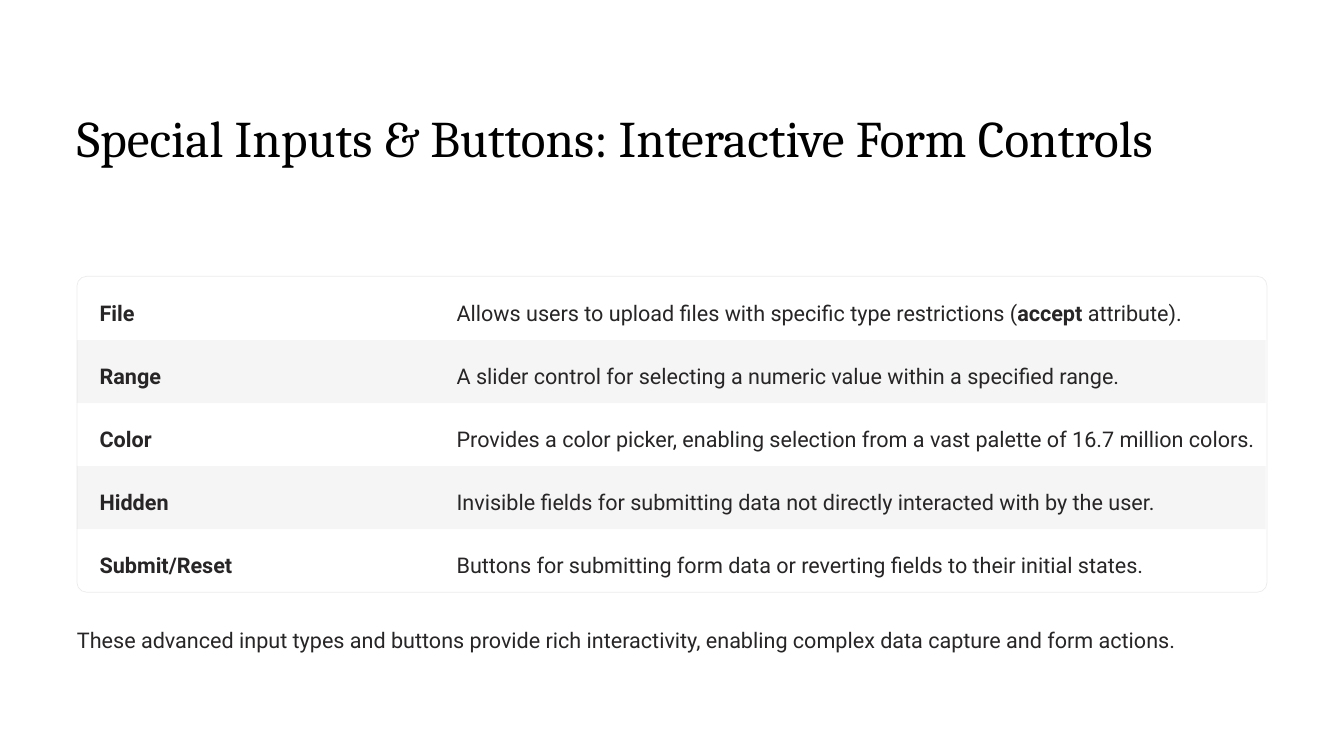
from lxml import etree
from pptx import Presentation, util as u
from pptx.dml.color import RGBColor
from pptx.enum import shapes, text
from pptx.oxml.ns import qn

HUES = {"title": "000000", "text": "272525", "edge": "000000",
        "odd": "FFFFFF", "even": "000000"}
TITLE = {"name": "Cambria", "size": u.Pt(44), "bold": False}
PLAIN = {"name": "Roboto", "size": u.Pt(18.5), "bold": False}
BOLD = {**PLAIN, "bold": True}
FRAME = {"margin_left": 0, "margin_top": 0, "margin_right": 0, "margin_bottom": 0,
         "vertical_anchor": text.MSO_ANCHOR.TOP}
CELL = {**FRAME, "margin_left": u.Inches(0.27), "margin_top": u.Inches(0.17)}
NO_GRID = "{2D5ABB26-0587-4C30-8999-92F81FD0307C}"

# Grid in inches
SLIDE = (16, 9)
LEFT = 11 / 12
WIDE = SLIDE[0] - 2 * LEFT
TOP, ROW = 3.3, 0.75
COLS = (4.25, 9.9)

ROWS = [
    ("File", "Allows users to upload files with specific type restrictions (*accept* attribute)."),
    ("Range", "A slider control for selecting a numeric value within a specified range."),
    ("Color", "Provides a color picker, enabling selection from a vast palette of 16.7 million colors."),
    ("Hidden", "Invisible fields for submitting data not directly interacted with by the user."),
    ("Submit/Reset", "Buttons for submitting form data or reverting fields to their initial states."),
]


def style(item, form):
    for key, value in form.items():
        setattr(item, key, value)


def area(left, top, wide, high):
    return [u.Inches(n) for n in (left, top, wide, high)]


def write(frame, words, form, hue="text", lead=30):
    """Fill the first paragraph; words between asterisks become bold."""
    para = frame.paragraphs[0]
    style(para, {"line_spacing": u.Pt(lead), "alignment": text.PP_ALIGN.LEFT})
    for i, part in enumerate(words.split("*")):
        run = para.add_run()
        run.text = part
        style(run.font, BOLD if i % 2 else form)
        run.font.color.rgb = RGBColor.from_string(HUES[hue])


def fade(shape, share):
    """Set the opacity, in percent, of the shape's only colour."""
    tint = shape._element.spPr.find(".//" + qn("a:srgbClr"))
    etree.SubElement(tint, qn("a:alpha")).set("val", str(share * 1000))


def add_title(slide, words):
    title = slide.shapes.title
    style(title, dict(zip(("left", "top", "width", "height"),
                          area(LEFT, 1.23, WIDE, 1.54))))
    style(title.text_frame, {**FRAME, "word_wrap": True,
                             "auto_size": text.MSO_AUTO_SIZE.NONE})
    write(title.text_frame, words, TITLE, "title", 55)


def add_edge(slide):
    """Draw the faint rounded outline around the table."""
    edge = slide.shapes.add_shape(shapes.MSO_SHAPE.ROUNDED_RECTANGLE,
                                  *area(LEFT, TOP - 0.01, WIDE, ROW * len(ROWS) + 0.01))
    edge.adjustments[0] = 0.03
    edge.shadow.inherit = False
    edge.fill.background()
    edge.line.width = u.Pt(0.6)
    edge.line.color.rgb = RGBColor.from_string(HUES["edge"])
    fade(edge, 8)


def add_band(slide, row):
    """Tint one table row from edge to edge."""
    band = slide.shapes.add_shape(shapes.MSO_SHAPE.RECTANGLE,
                                  *area(LEFT, TOP + row * ROW, sum(COLS), ROW))
    band.shadow.inherit = False
    band.line.fill.background()
    band.fill.solid()
    band.fill.fore_color.rgb = RGBColor.from_string(HUES["even" if row % 2 else "odd"])
    fade(band, 4)


def add_table(slide):
    table = slide.shapes.add_table(len(ROWS), len(COLS), *area(
        LEFT, TOP, sum(COLS), ROW * len(ROWS))).table
    style(table, {"first_row": False, "horz_banding": False})
    table._tbl.tblPr.find(qn("a:tableStyleId")).text = NO_GRID
    for col, wide in zip(table.columns, COLS):
        col.width = u.Inches(wide)
    for r, pair in enumerate(ROWS):
        for c, words in enumerate(pair):
            cell = table.cell(r, c)
            style(cell, CELL)
            cell.fill.background()
            write(cell.text_frame, words, PLAIN if c else BOLD)


def add_note(slide, words):
    frame = slide.shapes.add_textbox(*area(LEFT, 7.35, WIDE, 0.42)).text_frame
    style(frame, {**FRAME, "word_wrap": True})
    write(frame, words, PLAIN)


def main():
    deck = Presentation()
    deck.slide_width, deck.slide_height = map(u.Inches, SLIDE)
    slide = deck.slides.add_slide(deck.slide_layouts[5])
    add_title(slide, "Special Inputs & Buttons: Interactive Form Controls")
    add_edge(slide)
    for row in range(len(ROWS)):
        add_band(slide, row)
    add_table(slide)
    add_note(slide, "These advanced input types and buttons provide rich interactivity, "
                    "enabling complex data capture and form actions.")
    deck.save("out.pptx")


if __name__ == "__main__":
    main()
